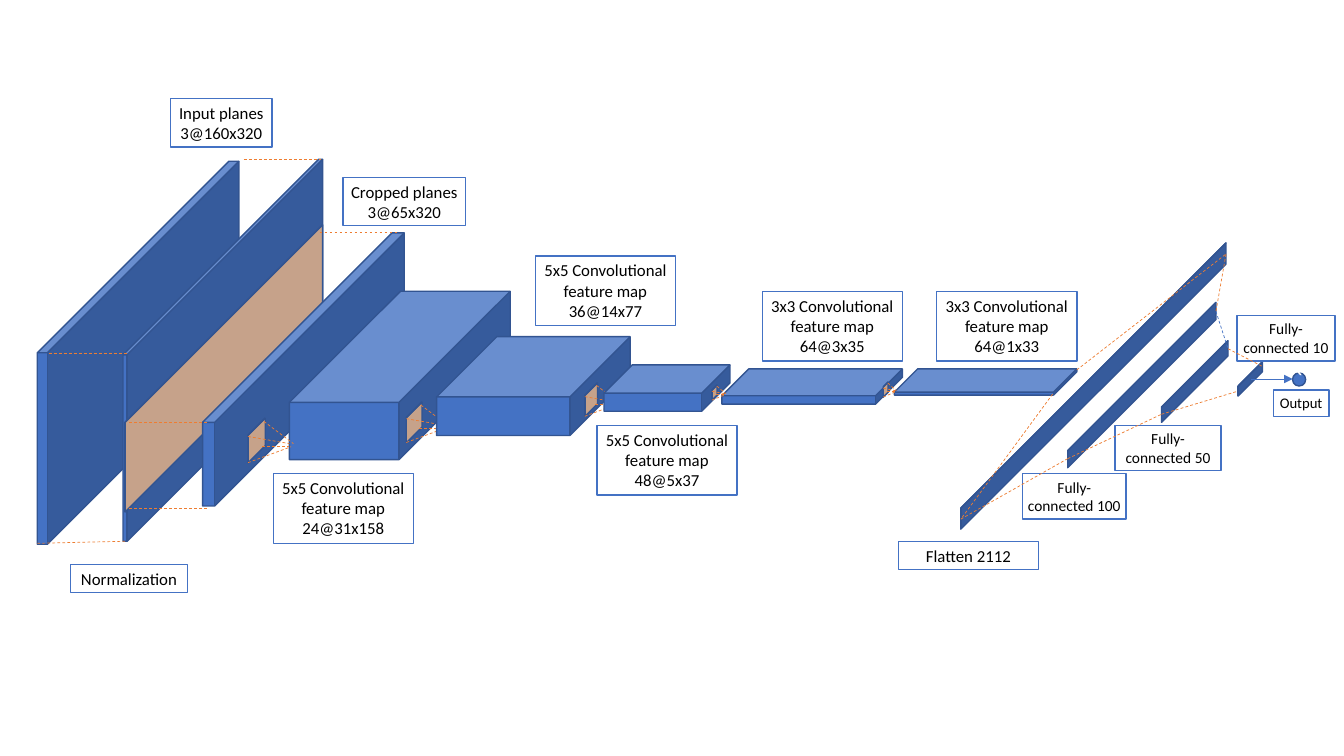
from lxml import etree
from pptx import Presentation
from pptx.dml.color import RGBColor
from pptx.enum.dml import MSO_LINE
from pptx.enum.shapes import MSO_CONNECTOR, MSO_SHAPE
from pptx.enum.text import MSO_ANCHOR, MSO_AUTO_SIZE, PP_ALIGN
from pptx.oxml.ns import qn
from pptx.util import Inches, Pt

CUBE, RECT, OVAL = MSO_SHAPE.CUBE, MSO_SHAPE.RECTANGLE, MSO_SHAPE.OVAL
STRAIGHT, DASH = MSO_CONNECTOR.STRAIGHT, MSO_LINE.DASH
CENTER, TOP, MIDDLE = PP_ALIGN.CENTER, MSO_ANCHOR.TOP, MSO_ANCHOR.MIDDLE
GROW, FIXED = MSO_AUTO_SIZE.SHAPE_TO_FIT_TEXT, MSO_AUTO_SIZE.NONE

BLUE = RGBColor(0x44, 0x72, 0xC4)
NAVY = RGBColor(0x32, 0x54, 0x91)
PEACH = RGBColor(0xF8, 0xCB, 0xAD)
ORANGE = RGBColor(0xED, 0x7D, 0x31)
WHITE = RGBColor(0xFF, 0xFF, 0xFF)
BLACK = RGBColor(0, 0, 0)

LAYERS = [
    ("cube", (0.37, 1.6, 2, 3.8), 0.95, BLUE),
    ("cube", (1.22, 1.58, 1.98, 3.79), 0.98, BLUE),
    ("cube", (1.24, 2.23, 1.96, 2.85), 1, PEACH),
    ("cube", (7.16, 3.66, 1.79, 0.35), 0.76, BLUE),
    ("cube", (8.87, 3.66, 1.81, 0.26), 0.89, BLUE),
    ("cube", (9.53, 2.41, 2.63, 2.84), 1, BLUE),
    ("cube", (11.52, 3.38, 0.66, 0.81), 1, BLUE),
    ("cube", (12.28, 3.59, 0.24, 0.34), 1, BLUE),
    ("cube", (2.01, 2.31, 2, 2.71), 0.94, BLUE),
    ("cube", (2.87, 2.89, 2.19, 1.67), 0.66, BLUE),
    ("cube", (10.59, 3, 1.47, 1.64), 1, BLUE),
    ("kernel", (2.46, 4.15, 0.45, 0.44)),
    ("kernel", (4.03, 3.99, 0.41, 0.4)),
    ("cube", (4.33, 3.34, 1.92, 0.98), 0.61, BLUE),
    ("kernel", (5.8, 3.8, 0.33, 0.33)),
    ("cube", (5.99, 3.62, 1.25, 0.46), 0.61, BLUE),
    ("kernel", (8.76, 3.79, 0.13, 0.15)),
    ("kernel", (7.06, 3.82, 0.14, 0.15)),
]

RAYS = [
    (0.35, 0.07, 1, 0.57),
    (0, 0.41, 0.91, 0.57),
    (0.31, 0.64, 0.91, 0.64),
    (0, 1, 0.95, 0.64),
]
KERNEL = 0.38

CONV5 = "5x5 Convolutional feature map\n"
CONV3 = "3x3 Convolutional feature map\n"
LABELS = [
    ("Normalization", (0.7, 5.6, 1.16, 0.28), 12),
    ("Input planes\n3@160x320", (1.69, 0.98, 1.01, 0.48), 12),
    ("Cropped planes\n3@65x320", (3.4, 1.76, 1.22, 0.48), 12),
    (CONV5 + "24@31x158", (2.71, 4.7, 1.39, 0.69), 12),
    (CONV5 + "36@14x77", (5.31, 2.54, 1.39, 0.69), 12),
    (CONV5 + "48@5x37", (5.92, 4.22, 1.39, 0.69), 12),
    (CONV3 + "64@3x35", (7.56, 2.89, 1.39, 0.69), 12),
    (CONV3 + "64@1x33", (9.29, 2.89, 1.39, 0.69), 12),
    ("Flatten 2112", (8.91, 5.37, 1.39, 0.28), 12),
    ("Fully-connected 100", (10.14, 4.7, 1.03, 0.45), 11),
    ("Fully-connected 50", (11.06, 4.22, 1.05, 0.45), 11),
    ("Fully-connected 10", (12.27, 3.13, 0.97, 0.45), 11),
    ("Output", (12.63, 3.87, 0.55, 0.26), 10.5),
]

GUIDES = [
    (2.42, 1.58, 3.18, 1.58),
    (3.17, 2.31, 3.94, 2.31),
    (0.49, 3.51, 1.26, 3.51),
    (0.37, 5.39, 1.24, 5.37),
    (1.28, 4.19, 2.05, 4.19),
    (1.28, 5.04, 2.05, 5.04),
    (10.68, 3.67, 12.16, 2.52),
    (10.44, 3.91, 9.53, 5.15),
]
LOWER = [(9.53, 5.15), (10.59, 4.55), (11.52, 4.11), (12.28, 3.88)]
UPPER = [(12.16, 2.52), (12.06, 3.09), (12.18, 3.46), (12.53, 3.64)]
UPPER_HUES = [ORANGE, BLUE, ORANGE]

NODE = (12.82, 3.7, 0.13, 0.13)
ARROW = (12.41, 3.76, 12.82, 3.76)

PAD = {"margin_" + side: Inches(0.04) for side in ("left", "right", "top", "bottom")}
LABEL_FRAME = {**PAD, "word_wrap": True, "auto_size": GROW, "vertical_anchor": TOP}
NODE_FRAME = {"word_wrap": True, "auto_size": FIXED, "vertical_anchor": MIDDLE}


def apply(item, values):
    for name, value in values.items():
        setattr(item, name, value)


def add_solid(kind, box, fill, edge):
    shape = slide.shapes.add_shape(kind, *map(Inches, box))
    shape.shadow.inherit = False
    shape.fill.solid()
    shape.fill.fore_color.rgb = fill
    shape.line.color.rgb = edge
    shape.line.width = Pt(1)
    return shape


def add_cube(box, depth, fill):
    add_solid(CUBE, box, fill, NAVY).adjustments[0] = depth


def add_line(ends, color=ORANGE, dash=DASH):
    line = slide.shapes.add_connector(STRAIGHT, *map(Inches, ends))
    apply(line.line, {"width": Pt(0.5), "dash_style": dash})
    line.line.color.rgb = color
    etree.SubElement(line._element.spPr, qn("a:effectLst"))
    return line


def add_kernel(box):
    x, y, w, h = box
    add_cube((x, y, w * KERNEL, h), 0.98, PEACH)
    for a, b, c, d in RAYS:
        add_line((x + a * w, y + b * h, x + c * w, y + d * h))


def write(shape, text, size, color, frame):
    body = shape.text_frame
    apply(body, frame)
    body.text = text
    for para in body.paragraphs:
        para.alignment = CENTER
        font = para.runs[0].font
        apply(font, {"name": "Calibri", "size": Pt(size)})
        font.color.rgb = color


deck = Presentation()
apply(deck, {"slide_width": Inches(13.33), "slide_height": Inches(7.5)})
slide = deck.slides.add_slide(deck.slide_layouts[6])

draw = {"cube": add_cube, "kernel": add_kernel}
for kind, *parts in LAYERS:
    draw[kind](*parts)

for text, box, size in LABELS:
    write(add_solid(RECT, box, WHITE, BLUE), text, size, BLACK, LABEL_FRAME)

for ends in GUIDES:
    add_line(ends)
for start, end in zip(LOWER, LOWER[1:]):
    add_line(start + end)
for start, end, hue in zip(UPPER, UPPER[1:], UPPER_HUES):
    add_line(start + end, hue)

write(add_solid(OVAL, NODE, BLUE, NAVY), "`", 18, WHITE, NODE_FRAME)
arrow = add_line(ARROW, BLUE, None)
etree.SubElement(arrow.line._get_or_add_ln(), qn("a:tailEnd"), type="triangle")

deck.save("out.pptx")
